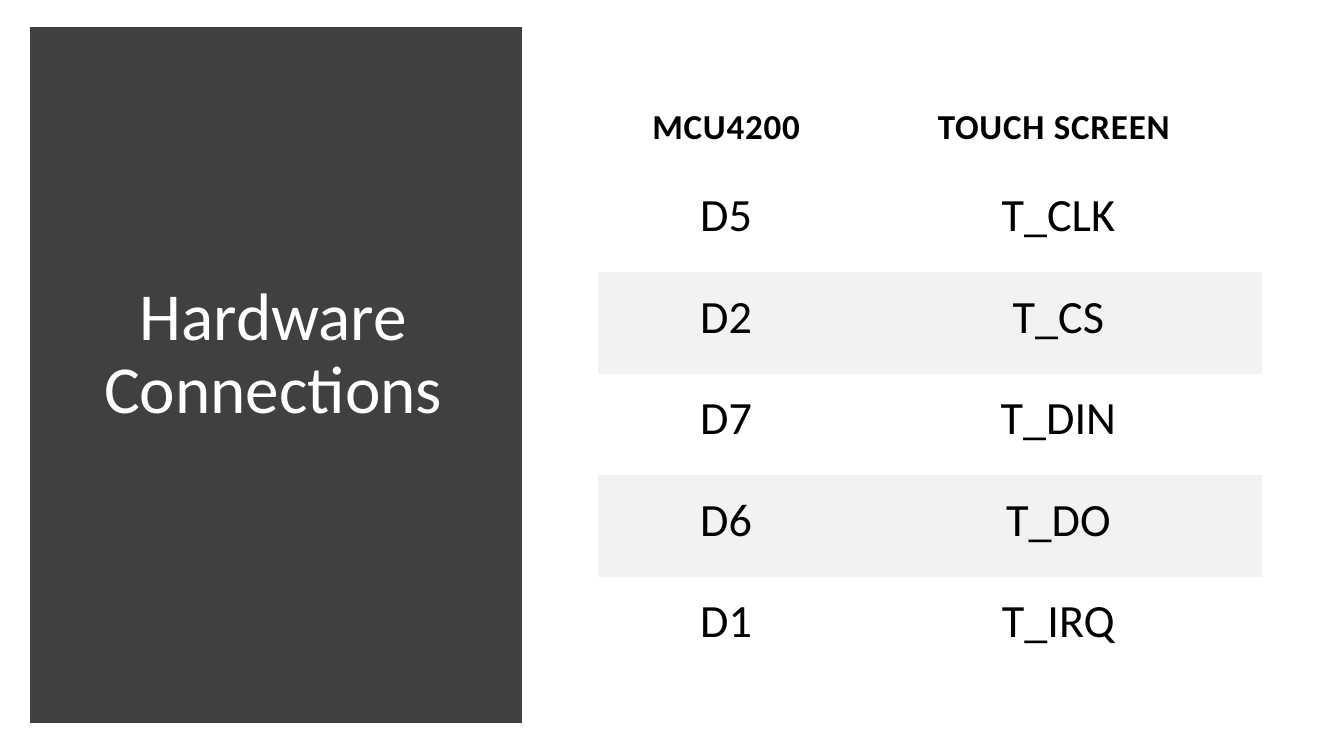
from lxml.etree import SubElement
from pptx import Presentation
from pptx.dml.color import RGBColor
from pptx.enum.shapes import MSO_SHAPE
from pptx.enum.text import MSO_ANCHOR, PP_ALIGN
from pptx.oxml.ns import qn
from pptx.util import Inches, Pt

FONT = "Calibri"
CHARCOAL = RGBColor(0x40, 0x40, 0x40)
WHITE = RGBColor(0xFF, 0xFF, 0xFF)
BLACK = RGBColor(0x00, 0x00, 0x00)
BAND_GRAY = RGBColor(0xF2, 0xF2, 0xF2)
NO_STYLE_NO_GRID = "{2D5ABB26-0587-4C30-8999-92F81FD0307C}"

HEADER = ("MCU4200", "TOUCH SCREEN ")
PINS = (
    ("D5", "T_CLK"),
    ("D2", "T_CS"),
    ("D7", "T_DIN"),
    ("D6", "T_DO"),
    ("D1", "T_IRQ"),
)
COLUMN_WIDTHS = (2.54, 4.04)
HEADER_HEIGHT = 0.91


def add_centred_run(paragraph, text, size, color, bold=False):
    """Add one run to a centred paragraph and return it."""
    paragraph.alignment = PP_ALIGN.CENTER
    run = paragraph.add_run()
    run.text = text
    run.font.name = FONT
    run.font.size = Pt(size)
    run.font.bold = bold
    run.font.color.rgb = color
    return run


def set_margins(cell, left, top, right, bottom):
    """Set the inner margins of a cell in inches."""
    cell.margin_left = Inches(left)
    cell.margin_top = Inches(top)
    cell.margin_right = Inches(right)
    cell.margin_bottom = Inches(bottom)


def add_title_panel(slide, left, top, width, height):
    """Draw the dark panel with the slide title inside it."""
    panel = slide.shapes.add_shape(
        MSO_SHAPE.RECTANGLE, Inches(left), Inches(top), Inches(width), Inches(height)
    )
    panel.shadow.inherit = False
    panel.fill.solid()
    panel.fill.fore_color.rgb = CHARCOAL
    panel.line.color.rgb = CHARCOAL
    panel.line.width = Pt(10)
    outline = panel.element.spPr.find(qn("a:ln"))
    SubElement(outline, qn("a:miter"), lim="800000")

    title = slide.shapes.add_textbox(
        Inches(left + 0.44), Inches(top + 0.47), Inches(width - 0.94), Inches(height - 1.33)
    )
    frame = title.text_frame
    frame.word_wrap = True
    frame.vertical_anchor = MSO_ANCHOR.MIDDLE
    paragraph = frame.paragraphs[0]
    paragraph.line_spacing = 0.9
    add_centred_run(paragraph, "Hardware Connections", 48, WHITE)


def fill_header_cell(cell, text):
    """Write a bold, slightly spaced column heading."""
    cell.fill.background()
    cell.vertical_anchor = MSO_ANCHOR.BOTTOM
    set_margins(cell, 0.35, 0.21, 0.35, 0.21)
    run = add_centred_run(cell.text_frame.paragraphs[0], text, 25, BLACK, bold=True)
    run.font._element.set("spc", "60")


def fill_pin_cell(cell, text, banded):
    """Write a pin name, on a gray band if asked."""
    if banded:
        cell.fill.solid()
        cell.fill.fore_color.rgb = BAND_GRAY
    else:
        cell.fill.background()
    cell.vertical_anchor = MSO_ANCHOR.TOP
    set_margins(cell, 0.34, 0.17, 0.34, 0.21)
    add_centred_run(cell.text_frame.paragraphs[0], text, 33, BLACK)


def add_pin_table(slide, left, top, width, height):
    """Build the table that pairs controller pins with screen pins."""
    table = slide.shapes.add_table(
        len(PINS) + 1, len(HEADER), Inches(left), Inches(top), Inches(width), Inches(height)
    ).table
    table.first_row = False
    table.horz_banding = False
    table._tbl.tblPr.find(qn("a:tableStyleId")).text = NO_STYLE_NO_GRID

    for column, share in zip(table.columns, COLUMN_WIDTHS):
        column.width = Inches(width * share / sum(COLUMN_WIDTHS))
    table.rows[0].height = Inches(HEADER_HEIGHT)
    for row_index in range(1, len(PINS) + 1):
        table.rows[row_index].height = Inches((height - HEADER_HEIGHT) / len(PINS))

    for column_index, text in enumerate(HEADER):
        fill_header_cell(table.cell(0, column_index), text)
    for row_index, pins in enumerate(PINS, start=1):
        for column_index, text in enumerate(pins):
            fill_pin_cell(table.cell(row_index, column_index), text, row_index % 2 == 0)


def main():
    """Build and save the presentation."""
    presentation = Presentation()
    presentation.slide_width = Inches(13.33)
    presentation.slide_height = Inches(7.5)
    slide = presentation.slides.add_slide(presentation.slide_layouts[6])
    add_title_panel(slide, 0.37, 0.34, 4.74, 6.76)
    add_pin_table(slide, 5.93, 0.78, 6.59, 5.95)
    presentation.save("out.pptx")


if __name__ == "__main__":
    main()
